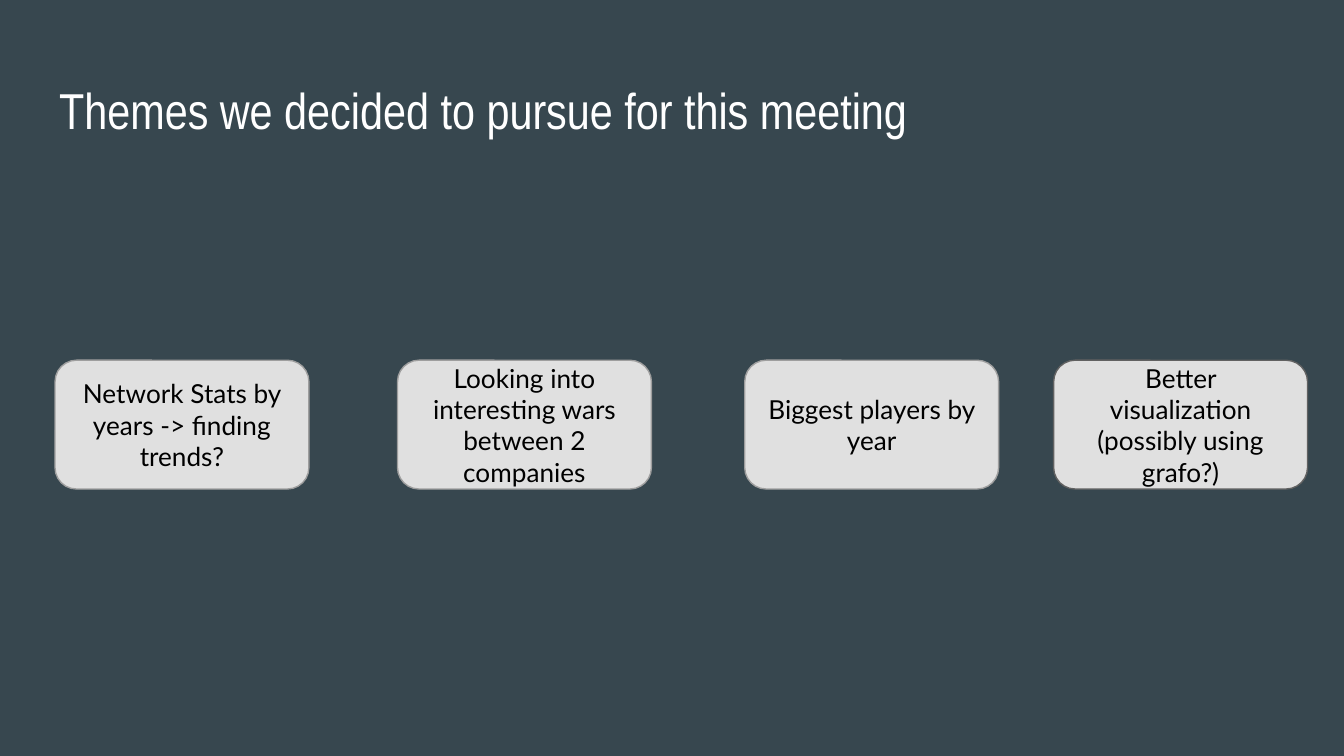
from pptx import Presentation
from pptx import util as u
from pptx.dml.color import RGBColor
from pptx.enum import shapes, text

# Content: wording, left edge in points, outline colour name
TITLE = "Themes we decided to pursue for this meeting"
THEMES = [
    ("Network Stats by years -> finding trends?", 29.5, "outline"),
    ("Looking into interesting wars between 2 companies", 213, "outline"),
    ("Biggest players by year", 399, "outline"),
    ("Better visualization (possibly using grafo?)", 564.5, "dark_outline"),
]

THEME = {
    "background": RGBColor.from_string("37474F"),
    "title": RGBColor.from_string("FFFFFF"),
    "card": RGBColor.from_string("E0E0E0"),
    "outline": RGBColor.from_string("9E9E9E"),
    "dark_outline": RGBColor.from_string("616161"),
    "body": RGBColor.from_string("000000"),
    "title_font": ("Arial Narrow", 27),
    "body_font": ("Lato", 14),
}
CARD_TOP, CARD_WIDTH, CARD_HEIGHT = 193, 136, 69
INSET = 7.2


def set_text(shape, wording, font, color, alignment, anchor):
    frame = shape.text_frame
    frame.text = wording
    frame.word_wrap = True
    frame.auto_size = text.MSO_AUTO_SIZE.NONE
    frame.vertical_anchor = anchor
    frame.margin_left = frame.margin_right = u.Pt(INSET)
    frame.margin_top = frame.margin_bottom = u.Pt(INSET)
    paragraph = frame.paragraphs[0]
    paragraph.alignment = alignment
    paragraph.line_spacing = 1.0
    run = paragraph.runs[0]
    run.font.name, size = font
    run.font.size = u.Pt(size)
    run.font.color.rgb = color


def add_card(slide, wording, left, outline):
    card = slide.shapes.add_shape(
        shapes.MSO_SHAPE.ROUNDED_RECTANGLE,
        u.Pt(left), u.Pt(CARD_TOP), u.Pt(CARD_WIDTH), u.Pt(CARD_HEIGHT))
    card.shadow.inherit = False
    card.fill.solid()
    card.fill.fore_color.rgb = THEME["card"]
    card.line.color.rgb = THEME[outline]
    card.line.width = u.Pt(0.75)
    set_text(card, wording, THEME["body_font"], THEME["body"],
             text.PP_ALIGN.CENTER, text.MSO_ANCHOR.MIDDLE)


def main():
    presentation = Presentation()
    presentation.slide_width, presentation.slide_height = u.Pt(720), u.Pt(405)
    slide = presentation.slides.add_slide(presentation.slide_layouts[5])
    slide.background.fill.solid()
    slide.background.fill.fore_color.rgb = THEME["background"]

    # Title
    title = slide.shapes.title
    title.left, title.top = u.Pt(24.5), u.Pt(35.3)
    title.width, title.height = u.Pt(671), u.Pt(45)
    set_text(title, TITLE, THEME["title_font"], THEME["title"],
             text.PP_ALIGN.LEFT, text.MSO_ANCHOR.TOP)

    # Row of theme cards
    for wording, left, outline in THEMES:
        add_card(slide, wording, left, outline)

    presentation.save("out.pptx")


if __name__ == "__main__":
    main()
